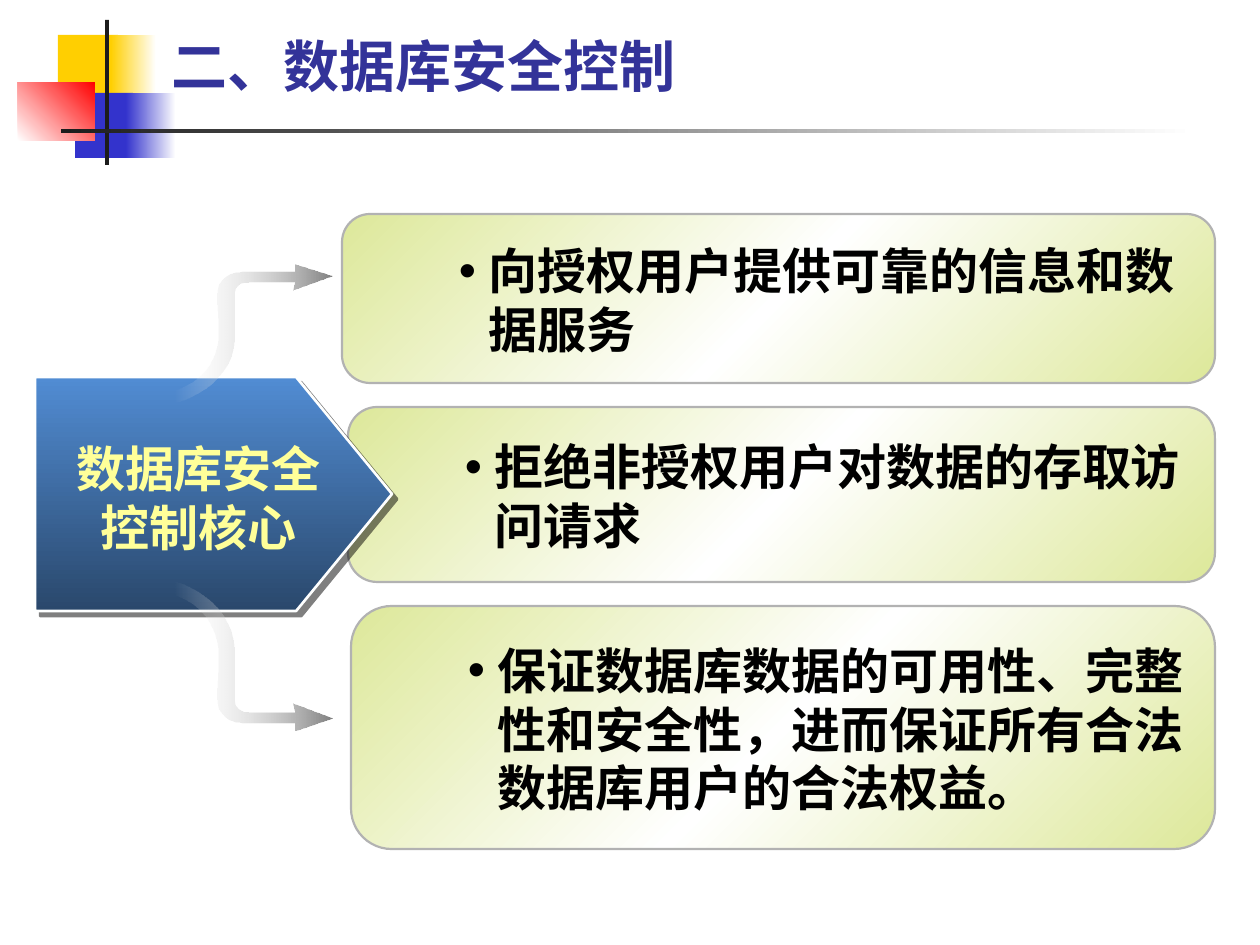
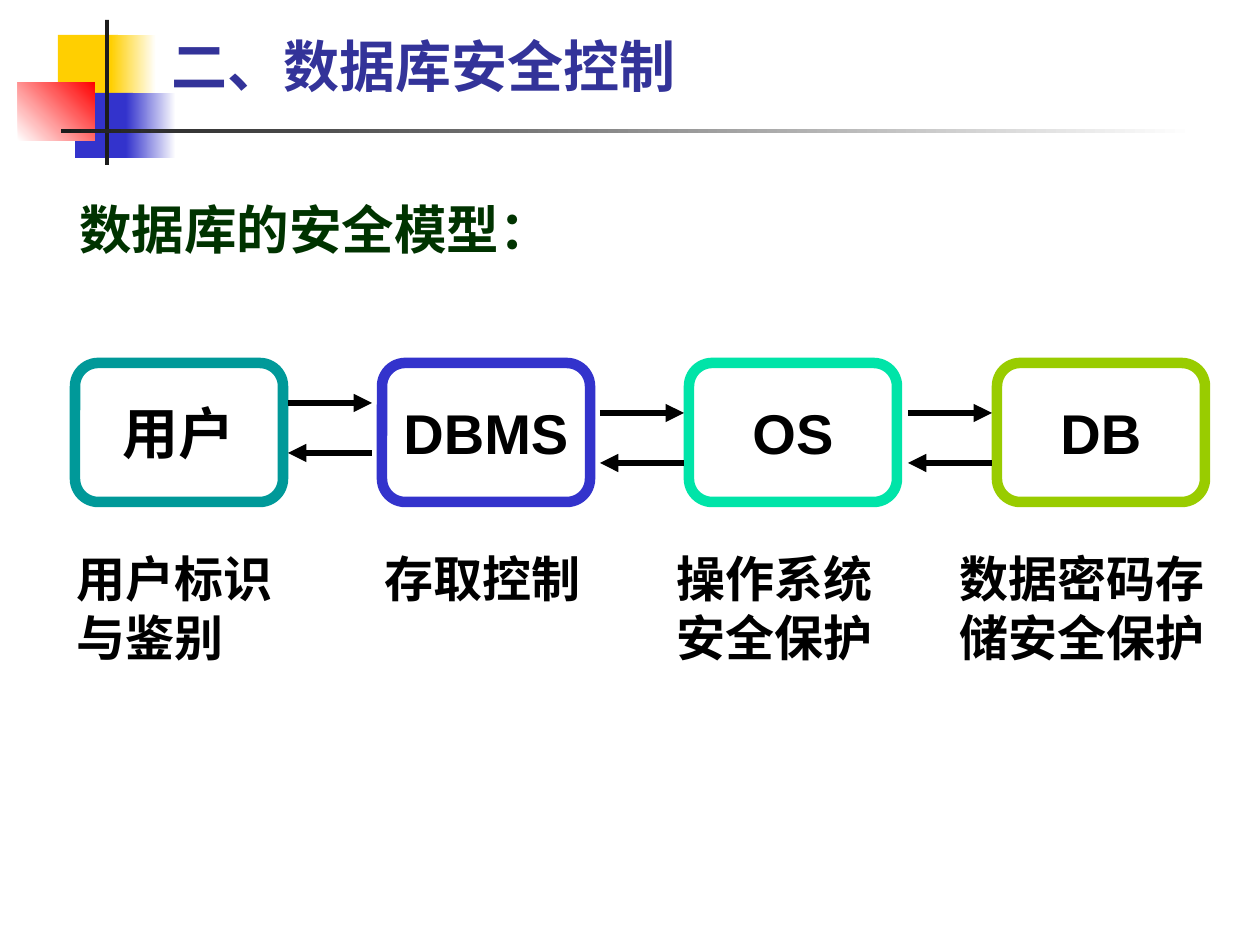
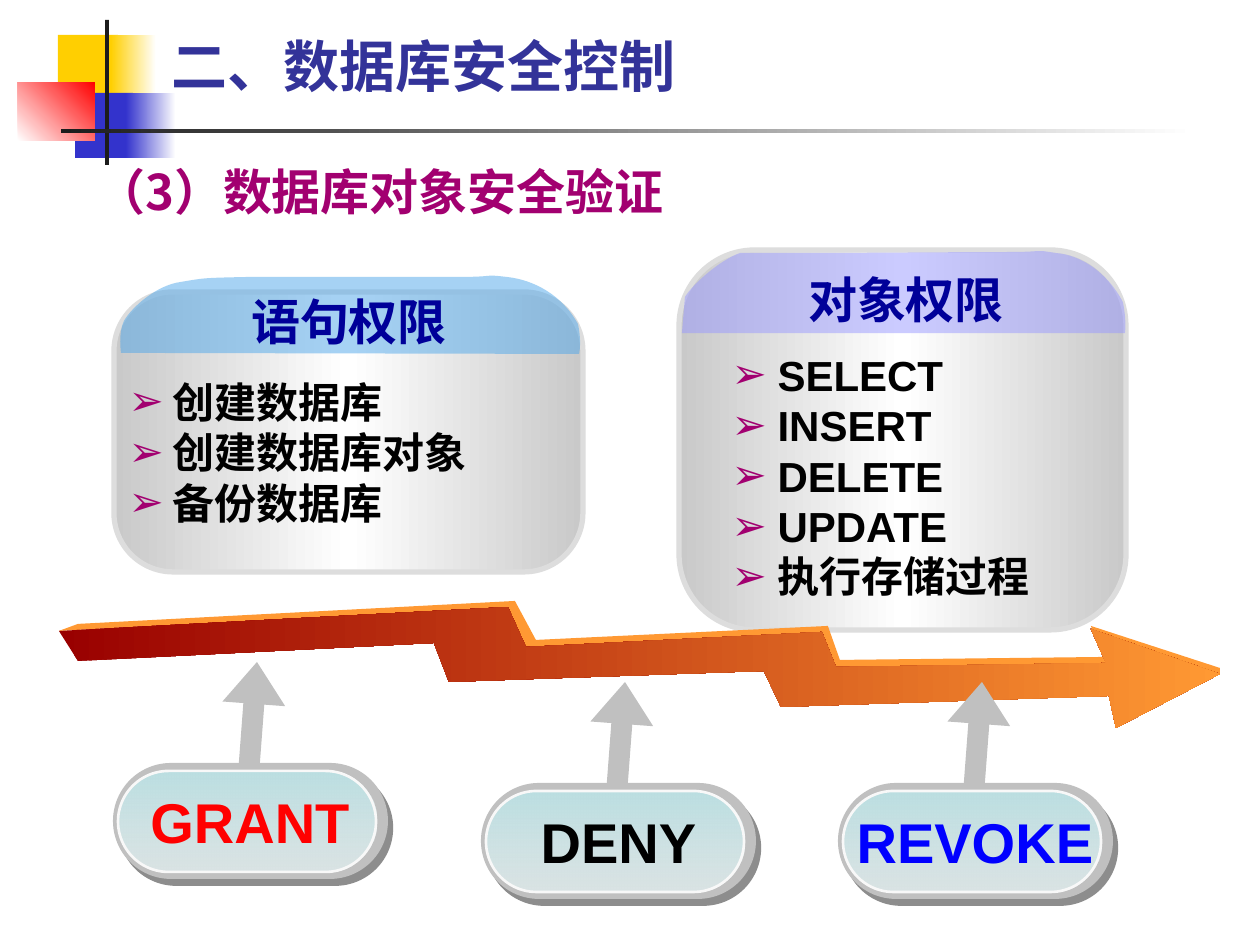
from lxml import etree
from pptx import Presentation
from pptx import util as u
from pptx.dml.color import RGBColor
from pptx.enum import shapes as kinds, text as t
from pptx.oxml.ns import qn

PX = u.Inches(1) / 126
BLACK = RGBColor(0x00, 0x00, 0x00)
WHITE = RGBColor(0xFF, 0xFF, 0xFF)
INK = RGBColor(0x1C, 0x1C, 0x1C)
YELLOW = RGBColor(0xFF, 0xCF, 0x01)
BLUE = RGBColor(0x33, 0x33, 0xCC)
RED = RGBColor(0xFF, 0x00, 0x00)
TITLE = RGBColor(0x33, 0x33, 0x99)
LIME = RGBColor(0xDD, 0xE8, 0x9A)
CARD_EDGE = RGBColor(0xB2, 0xB2, 0xB2)
CORE_TOP = RGBColor(0x51, 0x8C, 0xD3)
CORE_BOTTOM = RGBColor(0x2A, 0x48, 0x6C)
CORE_EDGE = RGBColor(0xFE, 0xFF, 0xFF)
CORE_TEXT = RGBColor(0xFF, 0xFF, 0x99)
GREY = RGBColor(0x80, 0x80, 0x80)
DARK_GREEN = RGBColor(0x00, 0x33, 0x00)
TEAL = RGBColor(0x00, 0x99, 0x99)
MINT = RGBColor(0x00, 0xE4, 0xA8)
GREEN = RGBColor(0x99, 0xCC, 0x00)
PURPLE = RGBColor(0xA2, 0x00, 0x70)
NAVY = RGBColor(0x00, 0x00, 0x99)
PURE_BLUE = RGBColor(0x00, 0x00, 0xFF)
PANEL = RGBColor(0xC9, 0xC9, 0xC9)
PANEL_EDGE = RGBColor(0xDD, 0xDD, 0xDD)
VIOLET_CAP = RGBColor(0x99, 0x99, 0xFF)
SKY_CAP = RGBColor(0x4E, 0xA7, 0xEA)
DARK_RED = RGBColor(0x99, 0x00, 0x00)
ORANGE = RGBColor(0xFF, 0x99, 0x33)
SILVER = RGBColor(0xC0, 0xC0, 0xC0)
PILL_TOP = RGBColor(0xBB, 0xE0, 0xE3)
PILL_BOTTOM = RGBColor(0xE4, 0xF2, 0xF3)
PILL_EDGE = RGBColor(0xF8, 0xF8, 0xF8)

RECT = kinds.MSO_SHAPE.RECTANGLE
ROUND = kinds.MSO_SHAPE.ROUNDED_RECTANGLE
CENTER = t.PP_ALIGN.CENTER
MIDDLE = t.MSO_ANCHOR.MIDDLE


def px(value):
    return u.Emu(round(value * PX))


def child(parent, tag, **attributes):
    return etree.SubElement(parent, qn(tag), {k: str(v) for k, v in attributes.items()})


def add_color(parent, color, alpha=100):
    element = child(parent, "a:srgbClr", val=color)
    if alpha < 100:
        child(element, "a:alpha", val=alpha * 1000)


def paint(shape, stops, angle=0):
    shape.fill.background()
    properties = shape._element.spPr
    blank = properties.find(qn("a:noFill"))
    if len(stops) == 1:
        fill = etree.Element(qn("a:solidFill"))
        add_color(fill, *stops[0][1:])
    else:
        fill = etree.Element(qn("a:gradFill"), rotWithShape="1")
        stop_list = child(fill, "a:gsLst")
        for position, *color in stops:
            add_color(child(stop_list, "a:gs", pos=position * 1000), *color)
        child(fill, "a:lin", ang=angle * 60000, scaled=0)
    properties.replace(blank, fill)


def finish(shape, stops, angle=0, line=None):
    paint(shape, stops, angle)
    shape.shadow.inherit = False
    if line:
        shape.line.color.rgb, shape.line.width = line[0], u.Pt(line[1])
    else:
        shape.line.fill.background()
    return shape


def add_box(slide, kind, box, stops, angle=0, line=None, adjust=None):
    shape = slide.shapes.add_shape(kind, *map(px, box))
    if adjust is not None:
        shape.adjustments[0] = adjust
    return finish(shape, stops, angle, line)


def add_shadow(shape, color, distance, direction):
    effects = shape._element.spPr.find(qn("a:effectLst"))
    shadow = child(effects, "a:outerShdw", blurRad=0, dist=u.Pt(distance),
                   dir=direction * 60000, algn="tl", rotWithShape=0)
    add_color(shadow, color, 50)


def add_outline(slide, origin, segments, stops, stretch=1):
    curves = [[(origin[0] + x, origin[1] + y * stretch)
               for x, y in zip(segment[::2], segment[1::2])] for segment in segments]
    anchors = [curve[-1] for curve in curves]
    builder = slide.shapes.build_freeform(*anchors[0], scale=PX)
    builder.add_line_segments(anchors[1:], close=True)
    shape = builder.convert_to_shape()
    left, top = (min(round(anchor[axis]) for anchor in anchors) for axis in (0, 1))
    lines = list(shape._element.spPr.iter(qn("a:lnTo")))
    for line, curve in zip(lines, curves[1:]):
        if len(curve) == 3:
            bezier = etree.Element(qn("a:cubicBezTo"))
            for x, y in curve:
                child(bezier, "a:pt", x=round(x) - left, y=round(y) - top)
            line.getparent().replace(line, bezier)
    return finish(shape, stops)


def add_arrow(slide, start, end, color, width, head="med"):
    arrow = slide.shapes.add_connector(kinds.MSO_CONNECTOR.STRAIGHT,
                                       *map(px, (*start, *end)))
    arrow.line.color.rgb, arrow.line.width = color, u.Pt(width)
    child(arrow.line._get_or_add_ln(), "a:tailEnd", type="triangle", w="med", len=head)
    child(arrow._element.spPr, "a:effectLst")


def write(shape, lines, size, color, font="Arial", align=t.PP_ALIGN.LEFT,
          anchor=t.MSO_ANCHOR.TOP, bullet=None, margin=0, hang=0, spacing=1.0,
          inset=None, wrap=True):
    frame = shape.text_frame
    frame.word_wrap, frame.auto_size = wrap, t.MSO_AUTO_SIZE.NONE
    frame.vertical_anchor = anchor
    if inset is not None:
        frame.margin_left = frame.margin_right = px(inset)
    for index, line in enumerate(lines):
        paragraph = frame.add_paragraph() if index else frame.paragraphs[0]
        properties = paragraph._p.get_or_add_pPr()
        properties.set("marL", str(px(margin)))
        properties.set("indent", str(px(-hang)))
        if bullet:
            add_color(child(properties, "a:buClr"), bullet[1])
            child(properties, "a:buFont", typeface="Arial")
            child(properties, "a:buChar", char=bullet[0])
        paragraph.alignment, paragraph.line_spacing = align, spacing
        paragraph.space_before = u.Pt(0)
        run = paragraph.add_run()
        run.text = line
        run.font.size, run.font.bold, run.font.name = u.Pt(size), True, font
        run.font.color.rgb = color
        child(run._r.get_or_add_rPr(), "a:ea", typeface="Lato")


def add_text(slide, box, lines, size, color, **style):
    write(slide.shapes.add_textbox(*map(px, box)), lines, size, color, **style)


def place(shape, box):
    shape.left, shape.top, shape.width, shape.height = map(px, box)


def decorate_master(presentation, slide):
    parts = [
        ((58, 35, 60, 66), [(0, YELLOW)], 0),
        ((111, 35, 45, 66), [(0, YELLOW), (100, WHITE)], 0),
        ((75, 93, 58, 65), [(0, BLUE)], 0),
        ((126, 93, 50, 65), [(0, BLUE), (100, WHITE)], 0),
        ((18, 82, 77, 59), [(0, WHITE), (100, RED)], 315),
        ((105, 20, 4, 145), [(0, INK)], 0),
        ((61, 129, 1134, 4), [(0, INK), (100, WHITE)], 0),
    ]
    for box, stops, angle in parts:
        shape = add_box(slide, RECT, box, stops, angle)
        presentation.slide_master.shapes._spTree.append(shape._element)


def new_slide(presentation, layout):
    slide = presentation.slides.add_slide(presentation.slide_layouts[layout])
    place(slide.shapes.title, (159, 36, 1074, 69))
    write(slide.shapes.title, ["二、数据库安全控制"], 32, TITLE, font="Lato",
          anchor=t.MSO_ANCHOR.BOTTOM)
    return slide


def add_card(slide, box, text_height, line):
    left, top, width, height = box
    add_box(slide, ROUND, box, [(0, LIME), (50, WHITE), (100, LIME)], 45,
            (CARD_EDGE, 1.25), 0.167)
    text_top = top + (height - text_height) // 2 + 1
    add_text(slide, (left + 96, text_top, 757, text_height), [line], 28, BLACK,
             anchor=MIDDLE, bullet=("•", BLACK), margin=43, hang=30, inset=8)


def add_core(slide, box):
    left, top, width, height = box
    shape = add_box(slide, kinds.MSO_SHAPE.PENTAGON, box,
                    [(0, CORE_TOP), (100, CORE_BOTTOM)], 90, (CORE_EDGE, 1.5), 0.41)
    add_shadow(shape, BLACK, 4.2, 45)
    add_text(slide, (left + 1, top + 55, 325, 131), ["数据库安全", "控制核心"], 28,
             CORE_TEXT, align=CENTER)


def add_bent_arrow(slide, left, base, rise):
    segments = [
        (0, 0), (0, 0, 64, 15, 60, 72), (60, 89, 60, 108, 60, 108),
        (60, 108, 59, 120, 74, 120), (97, 120, 120, 120, 120, 120), (118, 112),
        (158, 126), (120, 138), (120, 131), (120, 131, 93, 131, 67, 131),
        (48, 130, 44, 116, 44, 116), (40, 105, 45, 88, 44, 63), (38, 20, 0, 13, 0, 13)]
    add_outline(slide, (left, base), segments, [(0, WHITE, 0), (100, GREY)], rise / 138)


def build_core_slide(slide):
    cards = [
        ((342, 214, 873, 169), 131, "向授权用户提供可靠的信息和数据服务"),
        ((348, 407, 867, 175), 131, "拒绝非授权用户对数据的存取访问请求"),
        ((351, 606, 864, 243), 189,
         "保证数据库数据的可用性、完整性和安全性，进而保证所有合法数据库用户的合法权益。"),
    ]
    for box, text_height, line in cards:
        add_card(slide, box, text_height, line)
    add_core(slide, (35, 377, 357, 234))
    add_bent_arrow(slide, 174, 403, -138)
    add_bent_arrow(slide, 174, 582, 149)


def build_model_slide(slide):
    add_text(slide, (32, 175, 1197, 92), ["数据库的安全模型："], 30, DARK_GREEN,
             font="Noto Sans CJK SC", margin=35, spacing=1.25)
    captions = [
        ("用户标识与鉴别", 64, 238, 130), ("存取控制", 372, 228, 72),
        ("操作系统安全保护", 664, 234, 130), ("数据密码存储安全保护", 947, 277, 130)]
    for caption, left, width, height in captions:
        add_text(slide, (left, 542, width, height), [caption], 28, BLACK)
    stages = [("用户", TEAL), ("DBMS", BLUE), ("OS", MINT), ("DB", GREEN)]
    for index, (name, color) in enumerate(stages):
        stage = add_box(slide, ROUND, (75 + index * 922 // 3, 363, 208, 139),
                        [(0, WHITE)], line=(color, 6), adjust=0.167)
        write(stage, [name], 32, BLACK, align=CENTER, anchor=MIDDLE, wrap=False)
    for left, top in ((288, 403), (600, 413), (908, 413)):
        add_arrow(slide, (left, top), (left + 84, top), BLACK, 3.5)
        add_arrow(slide, (left + 84, top + 50), (left, top + 50), BLACK, 3.5)


def add_panel(slide, box, adjust, cap, cap_origin, cap_color, heading, heading_origin):
    add_box(slide, ROUND, box, [(0, PANEL), (50, WHITE), (100, PANEL)],
            line=(PANEL_EDGE, 3), adjust=adjust)
    add_outline(slide, cap_origin, cap, [(0, cap_color, 50)])
    add_text(slide, (*heading_origin, 222, 72), [heading], 28, NAVY, align=CENTER,
             wrap=False)


def fill_list(slide, index, box, lines, margin):
    body = slide.placeholders[index]
    slide.shapes._spTree.append(body._element)
    place(body, box)
    write(body, lines, 24, BLACK, bullet=("➢", PURPLE), margin=margin, hang=margin,
          spacing=u.Pt(28.8))


def add_step_arrow(slide, origin):
    ridge = [(0, 30), (19, 23), (456, 0), (477, 39), (769, 25), (781, 59),
             (1045, 56), (1032, 25), (1161, 67), (1161, 73)]
    crest = [(0, 30), (449, 6), (467, 46), (763, 31), (777, 66), (1047, 62),
             (1032, 28), (1161, 73)]
    underside = [(1057, 127), (1050, 95), (722, 106), (705, 70), (390, 81),
                 (375, 42), (19, 60)]
    add_outline(slide, origin, ridge + crest[-2:0:-1], [(0, ORANGE)])
    add_outline(slide, origin, crest + underside, [(0, DARK_RED), (100, ORANGE)])


def add_pill(slide, left, top, word, color, word_width):
    outer = add_box(slide, ROUND, (left, top, 275, 116), [(0, SILVER)], adjust=0.5)
    add_shadow(outer, INK, 5, 53)
    add_box(slide, ROUND, (left + 5, top + 8, 258, 101),
            [(0, PILL_TOP, 96), (100, PILL_BOTTOM, 70)], 90, (PILL_EDGE, 1.5), 0.5)
    add_text(slide, (left + 137 - word_width // 2, top + 18, word_width, 79), [word],
             32, color, align=CENTER, wrap=False)
    add_arrow(slide, (left + 136, top + 5), (left + 144, top - 101), SILVER, 12, "sm")


def build_permission_slide(slide):
    object_cap = [
        (0, 84), (3, 48), (11, 35, 38, 11, 58, 4), (125, 4),
        (170, 4, 284, 3, 325, 3), (367, 3, 349, 0, 374, 4),
        (399, 6, 425, 23, 441, 53), (445, 73, 443, 84, 443, 84)]
    statement_cap = [
        (3, 79), (3, 79, 0, 59, 6, 47), (14, 33, 39, 11, 63, 8),
        (87, 4, 83, 4, 130, 3), (175, 3, 295, 3, 339, 3),
        (381, 3, 363, 0, 389, 3), (416, 6, 444, 21, 460, 50),
        (464, 69, 461, 80, 461, 80)]
    add_panel(slide, (679, 250, 447, 380), 0.199, object_cap, (682, 249), VIOLET_CAP,
              "对象权限", (795, 263))
    add_text(slide, (84, 155, 814, 72), ["（3）数据库对象安全验证"], 28, PURPLE,
             font="Noto Sans CJK SC")
    add_panel(slide, (114, 292, 469, 280), 0.211, statement_cap, (118, 274), SKY_CAP,
              "语句权限", (238, 285))
    fill_list(slide, 1, (116, 370, 465, 164), ["创建数据库", "创建数据库对象", "备份数据库"],
              44)
    fill_list(slide, 2, (719, 343, 377, 265),
              ["SELECT", "INSERT", "DELETE", "UPDATE", "执行存储过程"], 46)
    add_step_arrow(slide, (59, 601))
    for left, top, word, color, width in ((113, 763, "GRANT", RED, 224),
                                          (481, 783, "DENY", BLACK, 181),
                                          (838, 783, "REVOKE", PURE_BLUE, 262)):
        add_pill(slide, left, top, word, color, width)


def main():
    presentation = Presentation()
    presentation.slide_width, presentation.slide_height = u.Inches(10), u.Inches(7.5)
    pages = ((5, build_core_slide), (5, build_model_slide), (3, build_permission_slide))
    for number, (layout, build) in enumerate(pages):
        slide = new_slide(presentation, layout)
        if number == 0:
            decorate_master(presentation, slide)
        build(slide)
    presentation.save("out.pptx")


if __name__ == "__main__":
    main()
